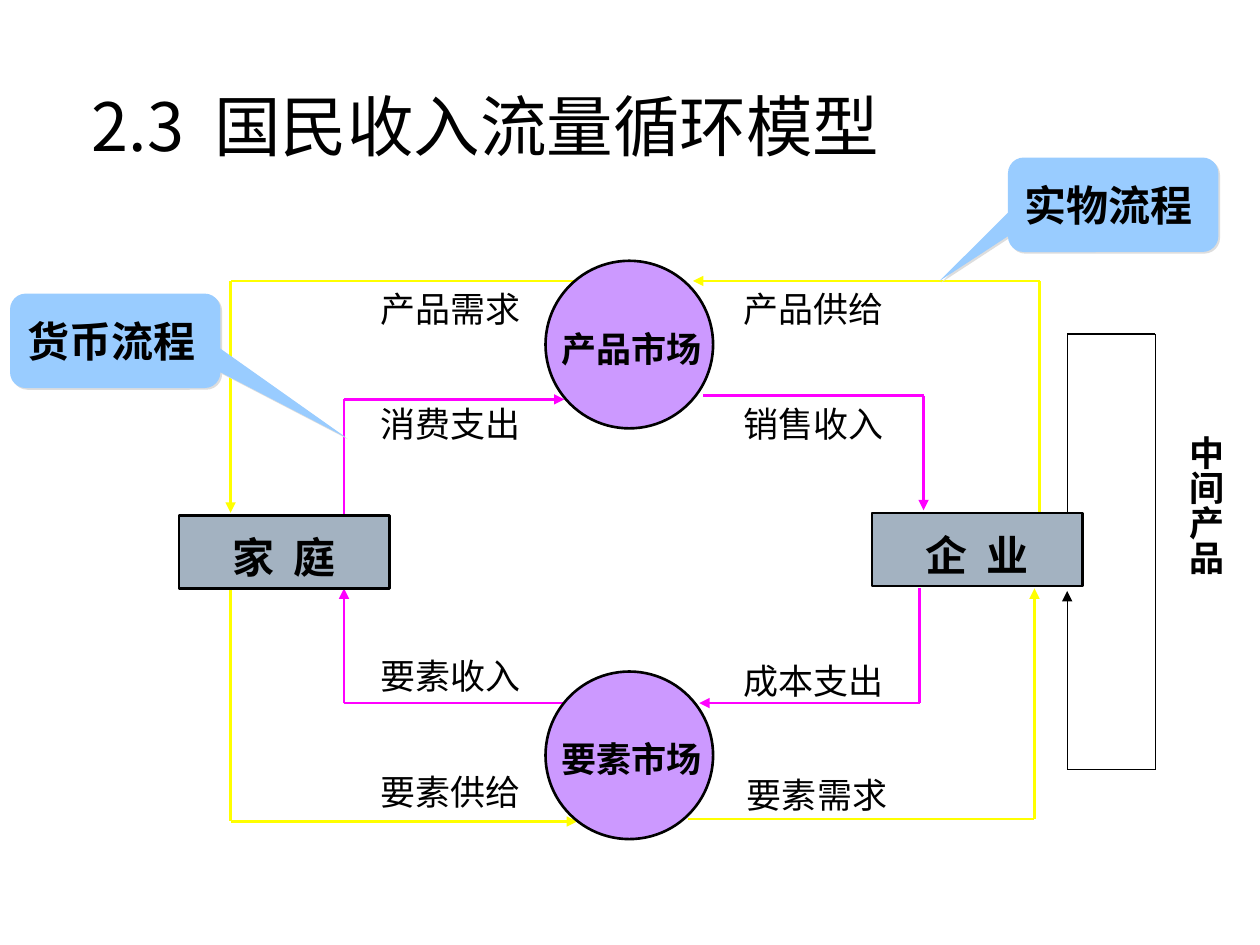
from dataclasses import dataclass
from itertools import pairwise

from lxml import etree
from pptx import Presentation
from pptx.dml.color import RGBColor
from pptx.enum.shapes import MSO_CONNECTOR, MSO_SHAPE
from pptx.enum.text import MSO_ANCHOR, PP_ALIGN
from pptx.oxml.ns import qn
from pptx.util import Inches, Pt

STRAIGHT = MSO_CONNECTOR.STRAIGHT
ELLIPSE, RECTANGLE = MSO_SHAPE.OVAL, MSO_SHAPE.RECTANGLE
CALLOUT = MSO_SHAPE.ROUNDED_RECTANGULAR_CALLOUT
TOP, MIDDLE = MSO_ANCHOR.TOP, MSO_ANCHOR.MIDDLE
LEFT, CENTER = PP_ALIGN.LEFT, PP_ALIGN.CENTER


@dataclass(frozen=True)
class Theme:
    ink: str = "000000"
    money: str = "FF00FF"
    goods: str = "FFFF00"
    market: str = "CC99FF"
    sector: str = "A3B2C1"
    callout: str = "99CCFF"
    shadow: str = "DDDDDD"
    sans: str = "Noto Sans CJK SC"
    serif: str = "Times New Roman"
    title_size: int = 38
    large_size: int = 24
    label_size: int = 20
    thick: float = 1.5
    thin: float = 0.75


@dataclass(frozen=True)
class Box:
    left: float
    top: float
    width: float
    height: float

    def inner(self, left, top, width, height):
        return Box(self.left + left, self.top + top, width, height)

    def lengths(self):
        return [Inches(v) for v in (self.left, self.top, self.width, self.height)]


THEME = Theme()

# label, colour, label corner, and the route whose last point has the arrowhead
FLOWS = [
    ("成本支出", THEME.money, (4.38, 3.05), [(5.88, 2.6), (5.88, 3.51), (4.13, 3.51)]),
    ("要素需求", THEME.goods, (4.41, 3.95), [(4.04, 4.43), (6.79, 4.43), (6.79, 2.6)]),
    ("销售收入", THEME.money, (4.38, 1.01), [(4.16, 1.07), (5.91, 1.07), (5.91, 1.98)]),
    ("产品供给", THEME.goods, (4.38, 0.1), [(6.83, 2), (6.83, 0.16), (4.08, 0.16)]),
    ("产品需求", THEME.goods, (1.5, 0.1), [(3.16, 0.16), (0.41, 0.16), (0.41, 2)]),
    ("消费支出", THEME.money, (1.5, 1.01), [(1.31, 2.01), (1.31, 1.1), (3.06, 1.1)]),
    ("要素收入", THEME.money, (1.5, 3.01), [(3.06, 3.51), (1.31, 3.51), (1.31, 2.6)]),
    ("要素供给", THEME.goods, (1.5, 3.93), [(0.41, 2.61), (0.41, 4.45), (3.16, 4.45)]),
]


def write(shape, text, size, bold=False, font=THEME.sans, align=LEFT,
          anchor=TOP, spacing=None):
    frame = shape.text_frame
    frame.word_wrap = True
    frame.vertical_anchor = anchor
    paragraph = frame.paragraphs[0]
    paragraph.alignment = align
    if spacing:
        paragraph.line_spacing = spacing
    run = paragraph.add_run()
    run.text = text
    run.font.size = Pt(size)
    run.font.bold = bold
    run.font.name = font
    run.font.color.rgb = RGBColor.from_string(THEME.ink)
    east_asian = etree.SubElement(run.font._element, qn("a:ea"))
    east_asian.set("typeface", THEME.sans)


def add_text(slide, box, text, size, **style):
    shape = slide.shapes.add_textbox(*box.lengths())
    write(shape, text, size, **style)
    return shape


def add_filled(slide, kind, box, fill, outline=None):
    shape = slide.shapes.add_shape(kind, *box.lengths())
    shape.shadow.inherit = False
    shape.fill.solid()
    shape.fill.fore_color.rgb = RGBColor.from_string(fill)
    if outline:
        shape.line.color.rgb = RGBColor.from_string(outline)
        shape.line.width = Pt(THEME.thick)
    else:
        shape.line.fill.background()
    return shape


def add_route(slide, box, points, color, width):
    """Join the points with straight lines and end in an arrowhead."""
    for start, end in pairwise(points):
        ends = [Inches(v) for x, y in (start, end) for v in (box.left + x, box.top + y)]
        line = slide.shapes.add_connector(STRAIGHT, *ends)
        line.line.color.rgb = RGBColor.from_string(color)
        line.line.width = Pt(width)
        etree.SubElement(line._element.spPr, qn("a:effectLst"))
    arrowhead = etree.SubElement(line.line._get_or_add_ln(), qn("a:tailEnd"))
    arrowhead.set("type", "triangle")


def add_title(slide, box):
    add_text(slide, box, "2.3  国民收入流量循环模型", THEME.title_size, anchor=MIDDLE)


def add_circuit(slide, box):
    """Flows between households, firms and the two markets."""
    for label, color, (left, top), points in FLOWS:
        add_route(slide, box, points, color, THEME.thick)
        add_text(slide, box.inner(left, top, 1.33, 0.5), label,
                 THEME.label_size, spacing=1.2)
    for name, top in (("产品市场", 0), ("要素市场", 3.26)):
        circle = box.inner(2.91, top, 1.33, 1.33)
        add_filled(slide, ELLIPSE, circle, THEME.market, THEME.ink)
        add_text(slide, circle.inner(0.03, 0.41, 1.33, 0.5), name,
                 THEME.label_size, bold=True, spacing=1.2)
    for name, left, top in (("企  业", 5.5, 2), ("家  庭", 0, 2.02)):
        sector = add_filled(slide, RECTANGLE, box.inner(left, top, 1.67, 0.58),
                            THEME.sector, THEME.ink)
        write(sector, name, THEME.large_size, bold=True, align=CENTER,
              anchor=MIDDLE, spacing=1.2)


def add_callout(slide, box, text, pointer):
    shape = add_filled(slide, CALLOUT, box, THEME.callout)
    for index, value in enumerate((*pointer, 0.167)):
        shape.adjustments[index] = value
    effects = shape._element.spPr.find(qn("a:effectLst"))
    shadow = etree.SubElement(effects, qn("a:outerShdw"), dist=str(Pt(1.4)),
                              dir="2700000", algn="ctr", rotWithShape="0")
    etree.SubElement(shadow, qn("a:srgbClr"), val=THEME.shadow)
    write(shape, text, THEME.large_size, bold=True, font=THEME.serif, anchor=MIDDLE)


def add_intermediate_goods(slide, box):
    """Loop from the firms back to themselves, with an upright label."""
    right, bottom = 0.7, box.height
    points = [(0, 1.41), (0, 0), (right, 0), (right, bottom), (0, bottom), (0, 2.04)]
    add_route(slide, box, points, THEME.ink, THEME.thin)
    label = add_text(slide, box.inner(0.79, 0.71, 0.53, 2.21), "中间产品",
                     THEME.label_size, bold=True, font=THEME.serif, align=CENTER)
    frame = label.text_frame
    frame.margin_left = frame.margin_right = Inches(0.05)
    frame.margin_top = frame.margin_bottom = Inches(0.1)
    frame._txBody.bodyPr.set("vert", "eaVert")


def main():
    presentation = Presentation()
    presentation.slide_width, presentation.slide_height = Inches(10), Inches(7.5)
    slide = presentation.slides.add_slide(presentation.slide_layouts[6])
    add_title(slide, Box(0.63, 0.33, 8.75, 1.33))
    add_circuit(slide, Box(1.42, 2.07, 7.17, 4.59))
    add_callout(slide, Box(8, 1.25, 1.67, 0.75), "实物流程", (-0.825, 0.806))
    add_callout(slide, Box(0.08, 2.33, 1.67, 0.75), "货币流程", (1.097, 1.023))
    add_intermediate_goods(slide, Box(8.47, 2.65, 1.32, 3.46))
    presentation.save("out.pptx")


if __name__ == "__main__":
    main()
